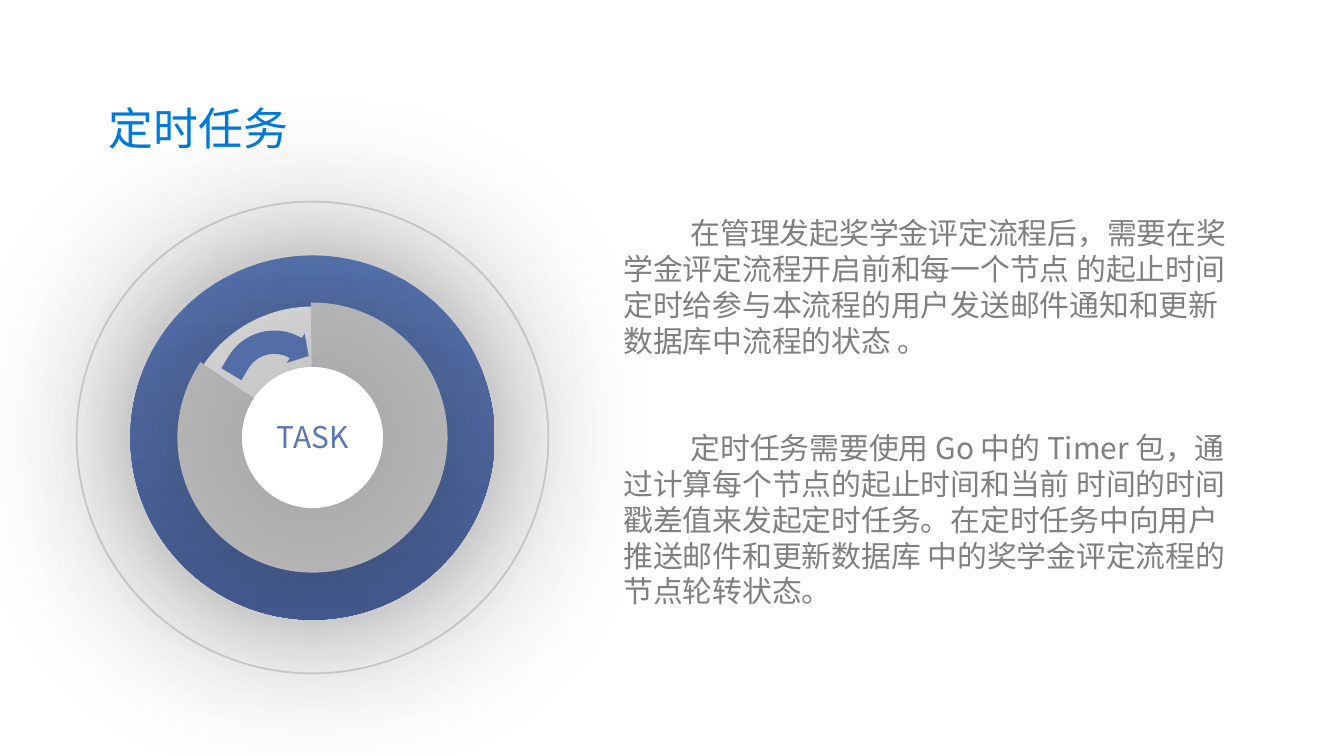
from lxml.etree import SubElement
from pptx import Presentation
from pptx.dml.color import RGBColor
from pptx.enum.shapes import MSO_SHAPE
from pptx.enum.text import MSO_AUTO_SIZE, PP_ALIGN
from pptx.oxml.ns import qn
from pptx.util import Pt

FONT = "Noto Sans CJK SC"
DIAL_CENTER = (167.4, 234.4)
BLUE = ("5877B6", "465E96")
TITLE_BLUE = ("007ADD", "465E96")
REMINDER = (
    "在管理发起奖学金评定流程后，需要在奖学金评定流程开启前和每一个节点 的起止时间"
    "定时给参与本流程的用户发送邮件通知和更新数据库中流程的状态 。"
)
TIMER = (
    "定时任务需要使用 Go 中的 Timer 包，通过计算每个节点的起止时间和当前 时间的"
    "时间戳差值来发起定时任务。在定时任务中向用户推送邮件和更新数据库 中的"
    "奖学金评定流程的节点轮转状态。"
)


def color(value):
    return RGBColor.from_string(value)


def paint(fill, *colors):
    if len(colors) == 1:
        fill.solid()
        fill.fore_color.rgb = color(colors[0])
    elif colors:
        fill.gradient()
        fill.gradient_angle = 270
        for stop, value in zip(fill.gradient_stops, colors):
            stop.color.rgb = color(value)
    else:
        fill.background()


def add_glow(shape):
    effects = shape._element.spPr.find(qn("a:effectLst"))
    shadow = SubElement(effects, qn("a:outerShdw"), blurRad=str(Pt(100)),
                        dist="0", dir="0", algn="ctr", rotWithShape="0")
    tint = SubElement(shadow, qn("a:srgbClr"), val="262626")
    SubElement(tint, qn("a:alpha"), val="40000")


def add_figure(shapes, preset, box, colors=(), adjustments=()):
    figure = shapes.add_shape(preset, *map(Pt, box))
    figure.shadow.inherit = False
    paint(figure.fill, *colors)
    figure.line.fill.background()
    for index, value in enumerate(adjustments):
        figure.adjustments[index] = value
    return figure


def add_dial_part(dial, diameter, colors=(), preset=MSO_SHAPE.OVAL,
                  adjustments=(), glow=True):
    left, top = (center - diameter / 2 for center in DIAL_CENTER)
    part = add_figure(dial.shapes, preset, (left, top, diameter, diameter),
                      colors, adjustments)
    if glow:
        add_glow(part)
    return part


def add_text(slide, box, paragraphs, size, colors, align=PP_ALIGN.LEFT,
             indent=0, gap=0):
    frame = slide.shapes.add_textbox(*map(Pt, box)).text_frame
    frame.word_wrap = True
    frame.auto_size = MSO_AUTO_SIZE.SHAPE_TO_FIT_TEXT
    for index, text in enumerate(paragraphs):
        paragraph = frame.add_paragraph() if index else frame.paragraphs[0]
        paragraph.alignment = align
        paragraph.line_spacing = Pt(size * 1.2)
        paragraph.space_before = Pt(gap if index else 0)
        if indent:
            paragraph._p.get_or_add_pPr().set("indent", str(Pt(indent)))
        run = paragraph.add_run()
        run.text = text
        run.font.size = Pt(size)
        run.font.name = FONT
        paint(run.font.fill, *colors)
        SubElement(run._r.get_or_add_rPr(), qn("a:ea"), typeface=FONT)


def add_dial(slide):
    dial = slide.shapes.add_group_shape()
    outline = add_dial_part(dial, 252.7, glow=False)
    paint(outline.line.fill, "D9D9D9")
    outline.line.width = Pt(1)
    add_dial_part(dial, 195.1, BLUE)
    add_dial_part(dial, 140.4, ["D9D9D9"])
    add_dial_part(dial, 144.7, ["BBBBBB"], MSO_SHAPE.PIE,
                  (161.58, 128.38), glow=False)
    add_dial_part(dial, 75.6, ["FFFFFF"])
    turn = add_figure(slide.shapes, MSO_SHAPE.BENT_ARROW,
                      (126, 170.6, 36.7, 38.9), ["536DA6"],
                      (0.34, 0.25, 0.22, 0.87))
    turn.rotation = 31


def main():
    deck = Presentation()
    deck.slide_width, deck.slide_height = Pt(720), Pt(405)
    slide = deck.slides.add_slide(deck.slide_layouts[6])
    add_text(slide, (51.1, 50.4, 186.5, 36), ["定时任务"], 24, TITLE_BLUE)
    add_dial(slide)
    add_text(slide, (74.2, 221, 186.5, 26.6), ["TASK"], 16, BLUE,
             PP_ALIGN.CENTER)
    add_text(slide, (326.9, 111.6, 346.3, 220.3), [REMINDER, TIMER], 16,
             ["808080"], indent=36, gap=38.4)
    deck.save("out.pptx")


if __name__ == "__main__":
    main()
